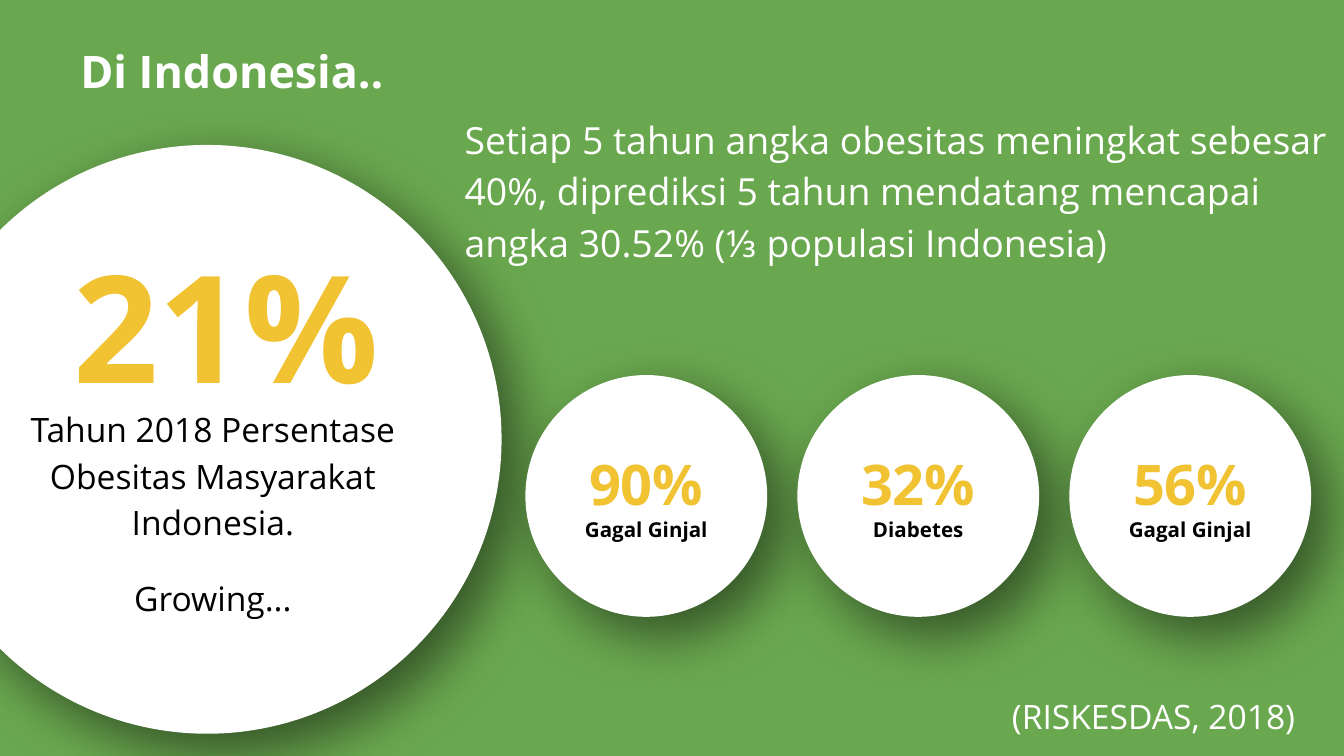
import pptx
import pptx.dml.color
import pptx.enum.shapes
import pptx.enum.text
import pptx.oxml
import pptx.oxml.ns
import pptx.util
from pptx.util import Cm

GREEN, WHITE, YELLOW, BLACK = "6AA84F", "FFFFFF", "F1C232", "000000"
FONT = "Open Sans"
INSET = Cm(0.25)
LEFT = pptx.enum.text.PP_ALIGN.LEFT
CENTER = pptx.enum.text.PP_ALIGN.CENTER
TOP = pptx.enum.text.MSO_ANCHOR.TOP
MIDDLE = pptx.enum.text.MSO_ANCHOR.MIDDLE
BOTTOM = pptx.enum.text.MSO_ANCHOR.BOTTOM

# Content: box in cm, anchor, alignment, line spacing, font format, paragraphs
HEADLINE_FORMAT = {"size": 80, "bold": True, "color": YELLOW}
BODY_FORMAT = {"size": 18, "bold": False, "color": BLACK}
SOURCE_FORMAT = {"size": 18, "bold": False, "color": WHITE}
HEADING_FORMAT = {"size": 24, "bold": True, "color": WHITE}
FORECAST_FORMAT = {"size": 20, "bold": False, "color": WHITE}
VALUE_FORMAT = {"size": 30, "bold": True, "color": YELLOW}
LABEL_FORMAT = {"size": 11, "bold": True, "color": BLACK}

TEXTS = [
    ((0.43, 1.96, 7.7, 6.1), BOTTOM, CENTER, 1, HEADLINE_FORMAT, ["21%"]),
    ((-0.61, 7.37, 9.27, 4.04), TOP, CENTER, 1.15, BODY_FORMAT,
     ["Tahun 2018 Persentase Obesitas Masyarakat Indonesia.", "Growing..."]),
    ((17.65, 12.8, 8.31, 1.5), TOP, CENTER, 1.15, SOURCE_FORMAT,
     ["(RISKESDAS, 2018)"]),
    ((0.23, 0.43, 8.31, 3.61), TOP, CENTER, 1.15, HEADING_FORMAT,
     ["Di Indonesia.."]),
    ((8.53, 1.83, 17.3, 3.61), TOP, LEFT, 1.15, FORECAST_FORMAT,
     ["Setiap 5 tahun angka obesitas meningkat sebesar 40%, diprediksi "
      "5 tahun mendatang mencapai angka 30.52% (⅓ populasi Indonesia)"]),
]
RISKS = [("90%", "Gagal Ginjal"), ("32%", "Diabetes"), ("56%", "Gagal Ginjal")]

# Circle geometry in cm
MAIN_CIRCLE = (-1.65, 2.74, 11.13)
RISK_LEFT, RISK_TOP, RISK_SIZE, RISK_PITCH = 9.93, 7.09, 4.57, 5.14


def color(hex_value):
    return pptx.dml.color.RGBColor.from_string(hex_value)


def set_values(target, values):
    for name, value in values.items():
        setattr(target, name, value)


def prepare_frame(frame, anchor):
    set_values(frame, {
        "word_wrap": True, "vertical_anchor": anchor,
        "margin_left": INSET, "margin_right": INSET,
        "margin_top": INSET, "margin_bottom": INSET,
    })


def write_paragraphs(frame, items, alignment, line_spacing, gap=0):
    for index, (text, style) in enumerate(items):
        paragraph = frame.add_paragraph() if index else frame.paragraphs[0]
        set_values(paragraph, {
            "alignment": alignment, "line_spacing": line_spacing,
            "space_before": pptx.util.Pt(gap if index else 0),
        })
        run = paragraph.add_run()
        run.text = text
        set_values(run.font, {
            "name": FONT, "size": pptx.util.Pt(style["size"]),
            "bold": style["bold"],
        })
        run.font.color.rgb = color(style["color"])


def add_circle(slide, left, top, size):
    shape = slide.shapes.add_shape(
        pptx.enum.shapes.MSO_SHAPE.OVAL, Cm(left), Cm(top), Cm(size), Cm(size))
    shape.fill.solid()
    shape.fill.fore_color.rgb = color(WHITE)
    shape.line.fill.background()
    # Soft shadow towards the lower right
    shape.shadow.inherit = False
    effects = shape.element.spPr.find(pptx.oxml.ns.qn("a:effectLst"))
    effects.append(pptx.oxml.parse_xml(
        f'<a:outerShdw {pptx.oxml.ns.nsdecls("a")} blurRad="{pptx.util.Pt(30.4)}" '
        f'dist="{pptx.util.Pt(13.5)}" dir="{48 * 60000}" algn="bl" rotWithShape="0">'
        f'<a:srgbClr val="{BLACK}"><a:alpha val="49000"/></a:srgbClr></a:outerShdw>'))
    return shape


def main():
    presentation = pptx.Presentation()
    presentation.slide_width = Cm(25.4)
    presentation.slide_height = Cm(14.29)
    slide = presentation.slides.add_slide(presentation.slide_layouts[6])
    slide.background.fill.solid()
    slide.background.fill.fore_color.rgb = color(GREEN)

    # Large circle and texts
    add_circle(slide, *MAIN_CIRCLE)
    for box, anchor, alignment, line_spacing, style, texts in TEXTS:
        frame = slide.shapes.add_textbox(*map(Cm, box)).text_frame
        prepare_frame(frame, anchor)
        items = [(text, style) for text in texts]
        write_paragraphs(frame, items, alignment, line_spacing, gap=16)

    # Row of risk circles
    for index, (value, label) in enumerate(RISKS):
        circle = add_circle(
            slide, RISK_LEFT + index * RISK_PITCH, RISK_TOP, RISK_SIZE)
        prepare_frame(circle.text_frame, MIDDLE)
        items = [(value, VALUE_FORMAT), (label, LABEL_FORMAT)]
        write_paragraphs(circle.text_frame, items, CENTER, 1)

    presentation.save("out.pptx")


if __name__ == "__main__":
    main()
